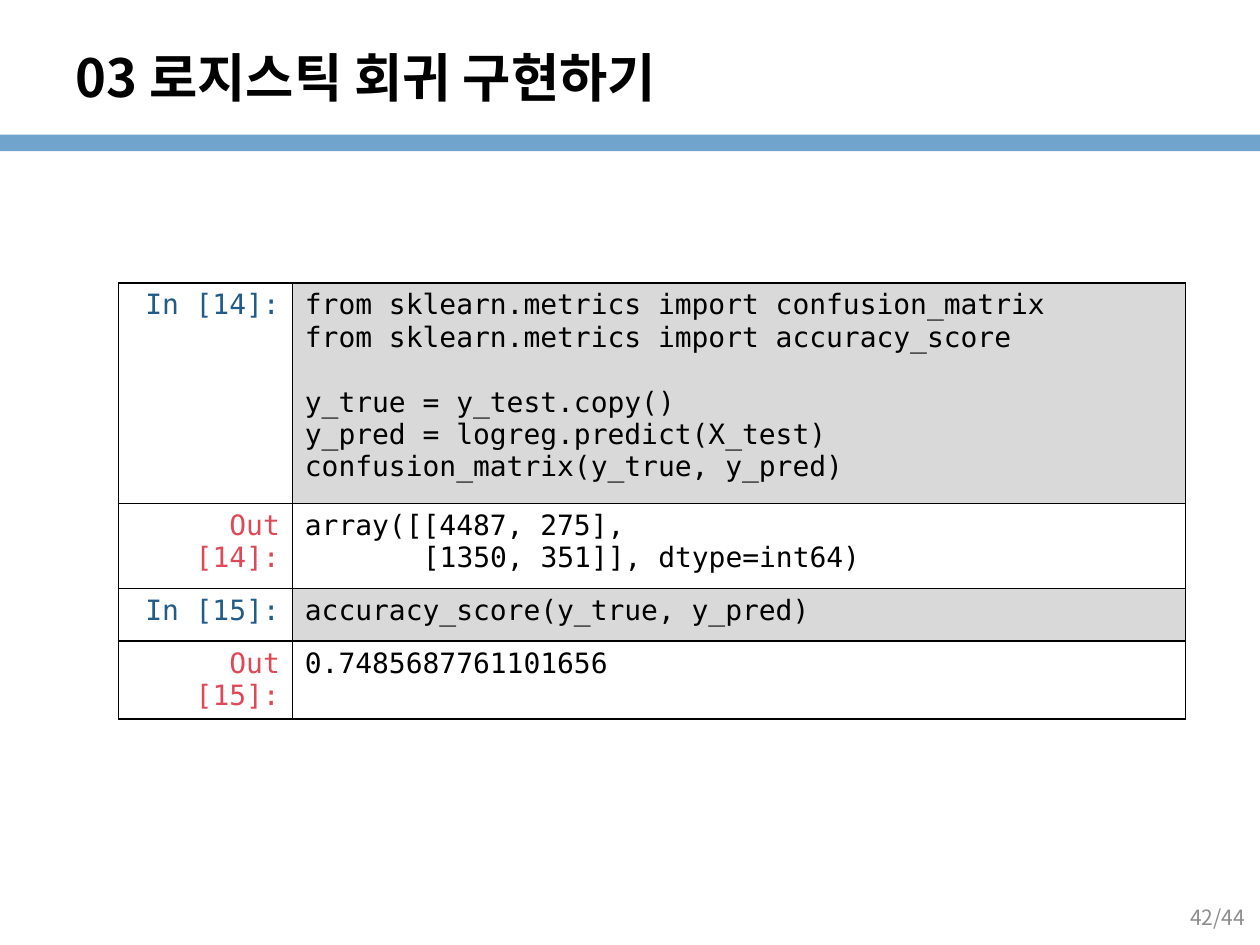
from lxml.etree import SubElement
from pptx import Presentation
from pptx.dml.color import RGBColor
from pptx.enum.shapes import MSO_SHAPE
from pptx.enum.text import MSO_ANCHOR, MSO_AUTO_SIZE, PP_ALIGN
from pptx.oxml.ns import qn
from pptx.util import Pt

BLACK = RGBColor(0x00, 0x00, 0x00)
GREY = RGBColor(0x8C, 0x8C, 0x8C)
BAR_BLUE = RGBColor(0x71, 0xA4, 0xCC)
IN_BLUE = RGBColor(0x21, 0x5C, 0x88)
OUT_RED = RGBColor(0xDF, 0x48, 0x57)
CODE_FILL = RGBColor(0xD9, 0xD9, 0xD9)
WHITE = RGBColor(0xFF, 0xFF, 0xFF)

SANS = "Noto Sans CJK KR"
MONO = "DejaVu Sans Mono"
CODE_SIZE = 16
LINE_HEIGHT = 18.6  # one code line
CHAR_WIDTH = 9.63   # one code character

# Each cell: label, row height, lines as (text, blank lines before, indent in characters)
CELLS = [
    ("In [14]:", 126, [
        ("from sklearn.metrics import confusion_matrix", 0, 0),
        ("from sklearn.metrics import accuracy_score", 0, 0),
        ("y_true = y_test.copy()", 1, 0),
        ("y_pred = logreg.predict(X_test)", 0, 0),
        ("confusion_matrix(y_true, y_pred)", 0, 0)]),
    ("Out [14]:", 48.6, [
        ("array([[4487, 275],", 0, 0),
        ("[1350, 351]], dtype=int64)", 0, 7)]),
    ("In [15]:", 30.2, [("accuracy_score(y_true, y_pred)", 0, 0)]),
    ("Out [15]:", 44.4, [("0.7485687761101656", 0, 0)]),
]


def write(para, text, *, size=CODE_SIZE, font=MONO, color=BLACK, bold=False,
          align=PP_ALIGN.LEFT, before=0, indent=0):
    para.alignment = align
    para.space_before = Pt(before)
    if indent:
        para._p.get_or_add_pPr().set("marL", str(Pt(indent)))
    span = para.add_run()
    span.text = text
    span.font.size = Pt(size)
    span.font.name = font
    span.font.bold = bold
    span.font.color.rgb = color
    SubElement(span._r.get_or_add_rPr(), qn("a:ea"), typeface=font)


def set_borders(cell, width=1):
    props = cell._tc.get_or_add_tcPr()
    for index, side in enumerate(("a:lnL", "a:lnR", "a:lnT", "a:lnB")):
        line = props.makeelement(qn(side), {"w": str(Pt(width))})
        fill = SubElement(line, qn("a:solidFill"))
        SubElement(fill, qn("a:srgbClr"), val=str(BLACK))
        props.insert(index, line)


def place_header(page, left, top, width, height):
    # Title
    title = page.shapes.title
    title.left, title.top = Pt(left), Pt(top)
    title.width, title.height = Pt(width), Pt(height)
    frame = title.text_frame
    frame.auto_size = MSO_AUTO_SIZE.NONE
    frame.vertical_anchor = MSO_ANCHOR.MIDDLE
    write(frame.paragraphs[0], "03 로지스틱 회귀 구현하기", size=30, font=SANS, bold=True)


def place_bar(page, left, top, width, height):
    bar = page.shapes.add_shape(MSO_SHAPE.RECTANGLE, Pt(left), Pt(top), Pt(width), Pt(height))
    bar.shadow.inherit = False
    bar.fill.solid()
    bar.fill.fore_color.rgb = BAR_BLUE
    bar.line.fill.background()


def place_notebook(page, left, top, width, height, label_width=99.4):
    frame = page.shapes.add_table(len(CELLS), 2, Pt(left), Pt(top), Pt(width), Pt(height))
    table = frame.table
    table.columns[0].width = Pt(label_width)
    table.columns[1].width = Pt(width - label_width)
    for row, (label, row_height, lines) in enumerate(CELLS):
        table.rows[row].height = Pt(row_height)
        is_input = label.startswith("In")
        label_cell, code_cell = table.cell(row, 0), table.cell(row, 1)
        for cell, fill in ((label_cell, WHITE), (code_cell, CODE_FILL if is_input else WHITE)):
            cell.fill.solid()
            cell.fill.fore_color.rgb = fill
            set_borders(cell)

        # Prompt label
        write(label_cell.text_frame.paragraphs[0], label, align=PP_ALIGN.RIGHT,
              color=IN_BLUE if is_input else OUT_RED)

        # Code or result
        code = code_cell.text_frame
        for index, (text, gap, indent) in enumerate(lines):
            para = code.add_paragraph() if index else code.paragraphs[0]
            write(para, text, before=gap * LINE_HEIGHT, indent=indent * CHAR_WIDTH)


def place_page_number(page, left, top, width, height):
    frame = page.shapes.add_textbox(Pt(left), Pt(top), Pt(width), Pt(height)).text_frame
    frame.word_wrap = True
    frame.vertical_anchor = MSO_ANCHOR.MIDDLE
    write(frame.paragraphs[0], "42/44", size=12, font=SANS, color=GREY, align=PP_ALIGN.RIGHT)


def main():
    deck = Presentation()
    deck.slide_width, deck.slide_height = Pt(720), Pt(540)
    page = deck.slides.add_slide(deck.slide_layouts[5])
    place_bar(page, 0, 77, 720, 9.4)
    place_header(page, 36, 21.6, 564, 44.6)
    place_notebook(page, 67.7, 161.6, 609.8, sum(height for _, height, _ in CELLS))
    place_page_number(page, 550.8, 509.8, 167.8, 28.8)
    deck.save("out.pptx")


if __name__ == "__main__":
    main()
